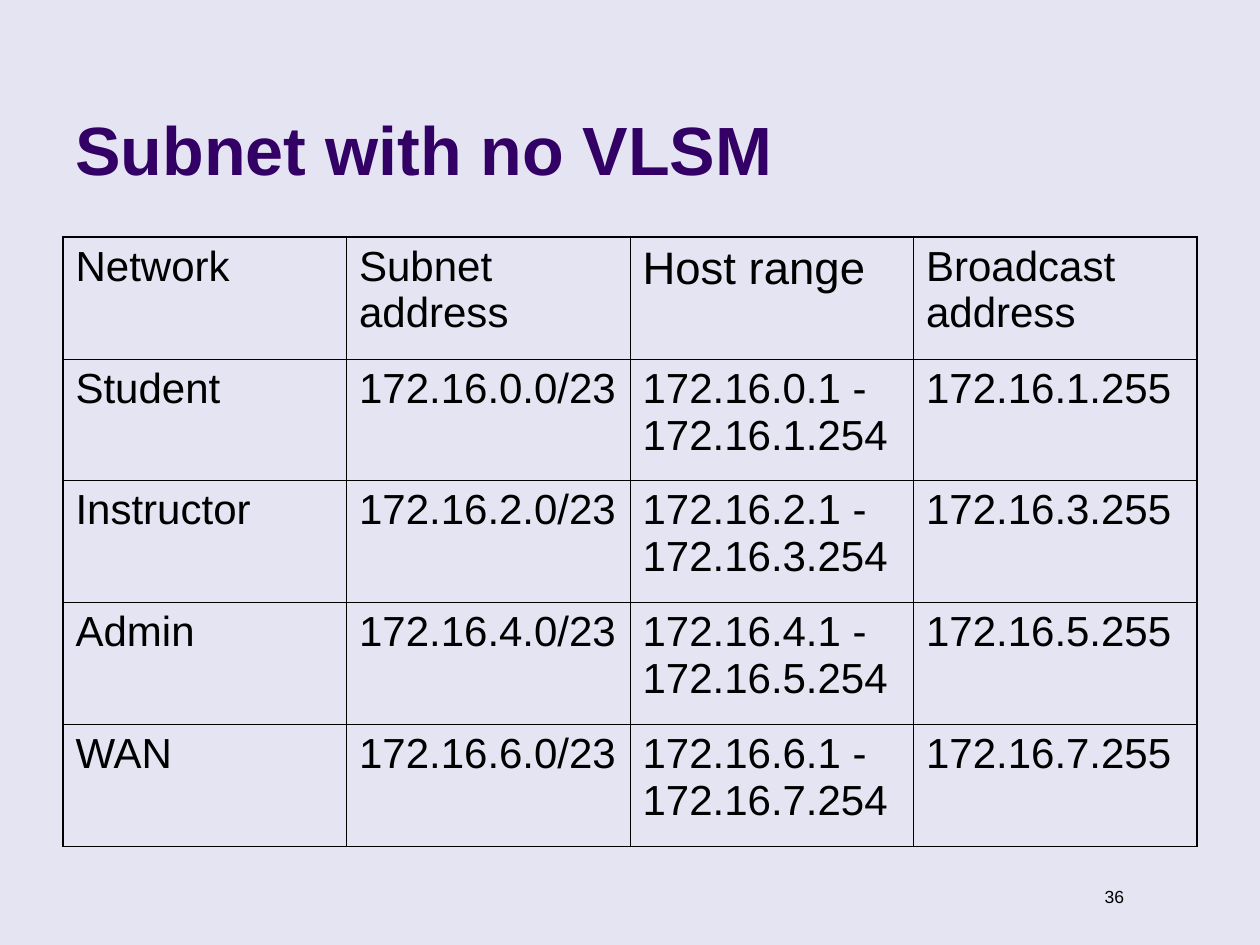
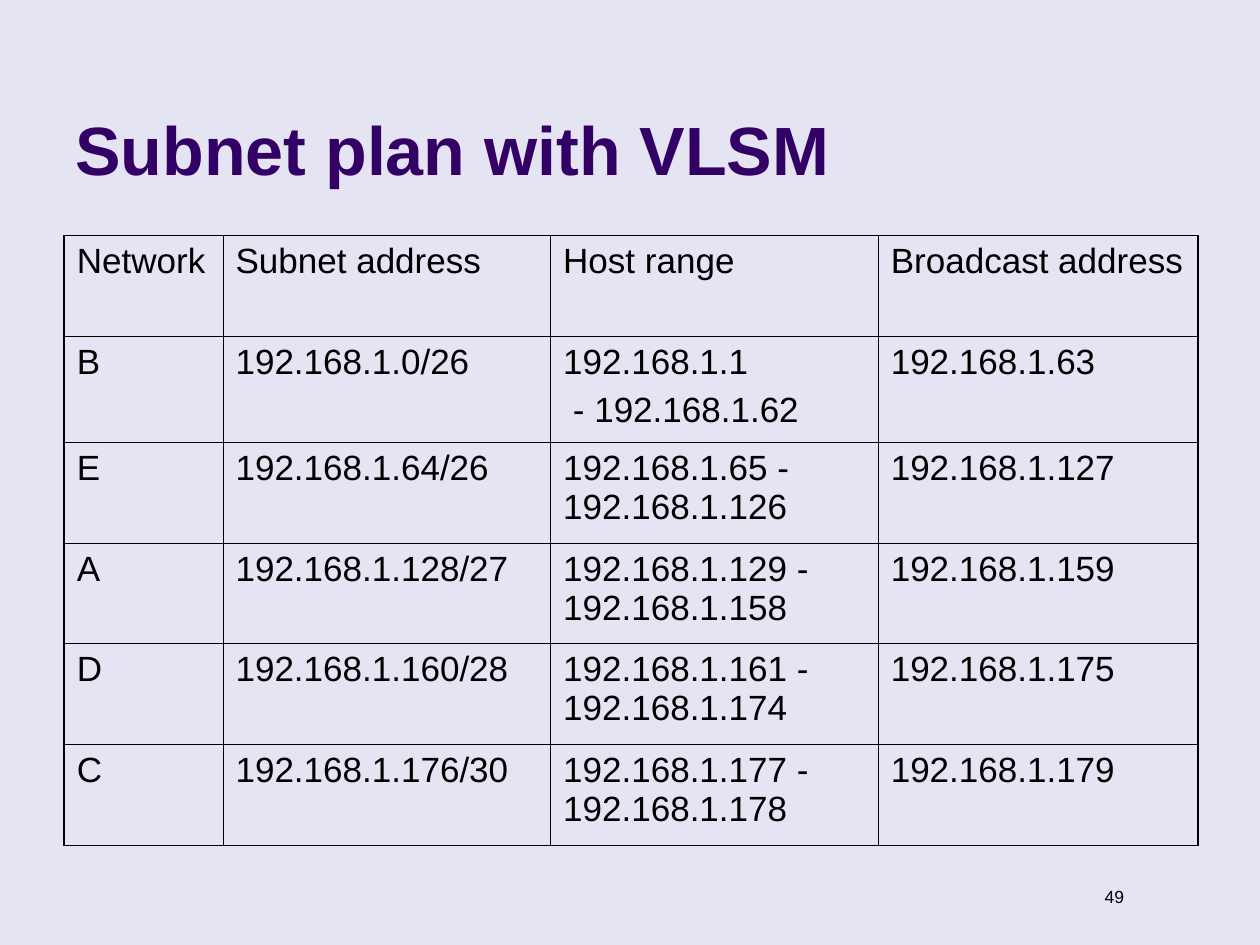
from dataclasses import dataclass

from lxml import etree
from pptx import Presentation
from pptx.dml.color import RGBColor
from pptx.enum import text
from pptx.oxml import ns
from pptx.util import Inches, Pt


@dataclass(frozen=True)
class Theme:
    font: str = "Arial"
    background: str = "E4E4F2"
    title: str = "330066"
    ink: str = "000000"
    title_size: int = 39
    number_size: int = 10
    outer_line: float = 1.08
    inner_line: float = 0.45


theme = Theme()


def style_text(frame, size, color=theme.ink, bold=False, align=None, gap=0):
    for index, para in enumerate(frame.paragraphs):
        para.alignment = align
        para.space_before = Pt(gap if index else 0)
        for span in para.runs:
            span.font.name = theme.font
            span.font.size = Pt(size)
            span.font.bold = bold
            span.font.color.rgb = RGBColor.from_string(color)


def add_border(cell, side, width):
    line = etree.SubElement(cell._tc.get_or_add_tcPr(), ns.qn(f"a:ln{side}"), w=str(Pt(width)))
    fill = etree.SubElement(line, ns.qn("a:solidFill"))
    etree.SubElement(fill, ns.qn("a:srgbClr"), val=theme.ink)


headings = ["Network", "Subnet address", "Host range", "Broadcast address"]
plans = [
    {
        "title": "Subnet with no VLSM",
        "number": "36",
        "origin": (0.5, 1.88),
        "columns": [2.25] * 4,
        "heights": [0.97, 0.96, 0.97, 0.97, 0.97],
        "size": 24,
        "larger": {"Host range": 26},
        "networks": [
            ["Student", "172.16.0.0/23", "172.16.0.1 - 172.16.1.254", "172.16.1.255"],
            ["Instructor", "172.16.2.0/23", "172.16.2.1 - 172.16.3.254", "172.16.3.255"],
            ["Admin", "172.16.4.0/23", "172.16.4.1 - 172.16.5.254", "172.16.5.255"],
            ["WAN", "172.16.6.0/23", "172.16.6.1 - 172.16.7.254", "172.16.7.255"],
        ],
    },
    {
        "title": "Subnet plan with VLSM",
        "number": "49",
        "origin": (0.51, 1.87),
        "columns": [1.26, 2.6, 2.6, 2.54],
        "heights": [0.8, 0.84, 0.8, 0.8, 0.8, 0.8],
        "size": 20,
        "larger": {},
        "networks": [
            ["B", "192.168.1.0/26", "192.168.1.1\n - 192.168.1.62", "192.168.1.63"],
            ["E", "192.168.1.64/26", "192.168.1.65 - 192.168.1.126", "192.168.1.127"],
            ["A", "192.168.1.128/27", "192.168.1.129 - 192.168.1.158", "192.168.1.159"],
            ["D", "192.168.1.160/28", "192.168.1.161 - 192.168.1.174", "192.168.1.175"],
            ["C", "192.168.1.176/30", "192.168.1.177 - 192.168.1.178", "192.168.1.179"],
        ],
    },
]

deck = Presentation()
deck.slide_width, deck.slide_height = Inches(10), Inches(7.5)
background = deck.slide_master.background.fill
background.solid()
background.fore_color.rgb = RGBColor.from_string(theme.background)

for plan in plans:
    page = deck.slides.add_slide(deck.slide_layouts[6])

    title_box = page.shapes.add_textbox(Inches(0.5), Inches(0.13), Inches(8.25), Inches(1.42))
    title_box.text_frame.word_wrap = True
    title_box.text_frame.vertical_anchor = text.MSO_ANCHOR.BOTTOM
    title_box.text_frame.text = plan["title"]
    style_text(title_box.text_frame, theme.title_size, theme.title, bold=True)

    number_box = page.shapes.add_textbox(Inches(8.39), Inches(6.98), Inches(0.63), Inches(0.27))
    number_box.text_frame.word_wrap = True
    number_box.text_frame.text = plan["number"]
    style_text(number_box.text_frame, theme.number_size, align=text.PP_ALIGN.RIGHT)

    rows = [headings] + plan["networks"]
    left, top = plan["origin"]
    frame = page.shapes.add_table(
        len(rows), len(headings), Inches(left), Inches(top),
        Inches(sum(plan["columns"])), Inches(sum(plan["heights"])),
    )
    table = frame.table
    table.first_row = table.horz_banding = False
    for column, width in zip(table.columns, plan["columns"]):
        column.width = Inches(width)

    for row_index, values in enumerate(rows):
        table.rows[row_index].height = Inches(plan["heights"][row_index])
        for column_index, value in enumerate(values):
            cell = table.cell(row_index, column_index)
            cell.text_frame.text = value
            size = plan["larger"].get(value, plan["size"])
            style_text(cell.text_frame, size, gap=size / 4)
            edges = {
                "L": column_index == 0,
                "R": column_index == len(headings) - 1,
                "T": row_index == 0,
                "B": row_index == len(rows) - 1,
            }
            for side, is_outer in edges.items():
                add_border(cell, side, theme.outer_line if is_outer else theme.inner_line)
            cell.fill.background()

deck.save("out.pptx")
